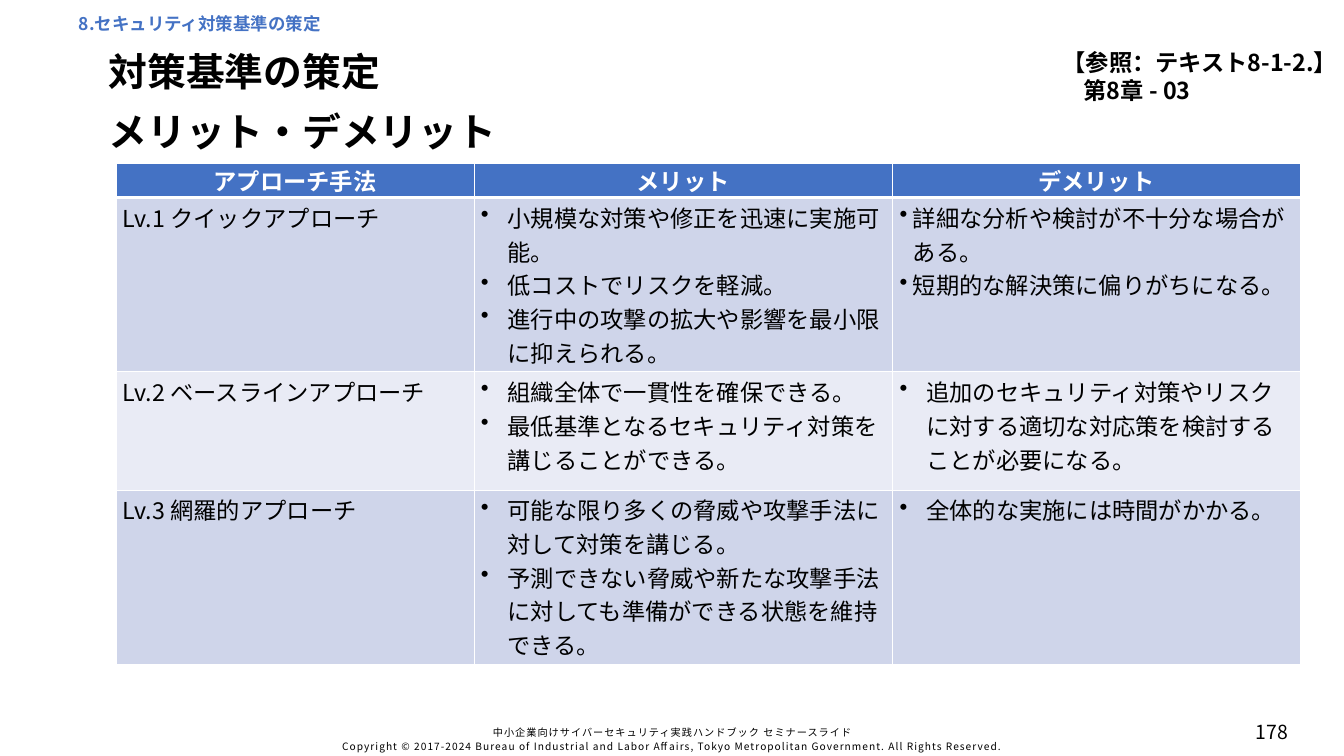
from dataclasses import dataclass

from lxml.etree import SubElement
from pptx import Presentation
from pptx.dml.color import RGBColor
from pptx.enum.text import MSO_ANCHOR, PP_ALIGN
from pptx.oxml.ns import qn
from pptx.util import Cm, Pt


@dataclass(frozen=True)
class Theme:
    """Colours, typeface and type sizes of the slide."""
    font: str = "Noto Sans CJK JP"
    ink: str = "000000"
    accent: str = "4472C4"
    paper: str = "FFFFFF"
    bands: tuple = ("CFD5EA", "E9EBF5")
    title: float = 40
    body: float = 24
    number: float = 20
    chapter: float = 18
    footer: float = 10.5


@dataclass(frozen=True)
class Box:
    """A region in centimetres."""
    left: float
    top: float
    width: float
    height: float

    def lengths(self):
        """Return the four lengths for a new shape."""
        return [Cm(n) for n in (self.left, self.top, self.width, self.height)]


THEME = Theme()
WIDE_INDENT, NARROW_INDENT = 0.97, 0.48
COLUMNS = (13.03, 15.24, 14.83)
ROWS = (1.25, 6.34, 4.3, 6.34)
HEADINGS = ("アプローチ手法", "メリット", "デメリット")
APPROACHES = (
    ("Lv.1 クイックアプローチ",
     ("小規模な対策や修正を迅速に実施可能。",
      "低コストでリスクを軽減。",
      "進行中の攻撃の拡大や影響を最小限に抑えられる。"),
     ("詳細な分析や検討が不十分な場合がある。",
      "短期的な解決策に偏りがちになる。"),
     NARROW_INDENT),
    ("Lv.2 ベースラインアプローチ",
     ("組織全体で一貫性を確保できる。",
      "最低基準となるセキュリティ対策を講じることができる。"),
     ("追加のセキュリティ対策やリスクに対する適切な対応策を検討することが必要になる。",),
     WIDE_INDENT),
    ("Lv.3 網羅的アプローチ",
     ("可能な限り多くの脅威や攻撃手法に対して対策を講じる。",
      "予測できない脅威や新たな攻撃手法に対しても準備ができる状態を維持できる。"),
     ("全体的な実施には時間がかかる。",),
     WIDE_INDENT),
)


def style(paragraph, size, color=THEME.ink, bold=False, align=PP_ALIGN.LEFT, tracking=0):
    """Set the alignment and font of a paragraph."""
    paragraph.alignment = align
    font = paragraph.font
    font.name, font.size, font.bold = THEME.font, Pt(size), bold
    font.color.rgb = RGBColor.from_string(color)
    properties = paragraph._p.pPr.find(qn("a:defRPr"))
    if tracking:
        properties.set("spc", str(round(tracking * 100)))
    east_asian = SubElement(properties, qn("a:ea"))
    east_asian.set("typeface", THEME.font)


def add_bullet(paragraph, indent):
    """Give a paragraph a hanging bullet."""
    properties = paragraph._p.get_or_add_pPr()
    properties.set("marL", str(Cm(indent)))
    properties.set("indent", str(-Cm(indent)))
    SubElement(properties, qn("a:buChar")).set("char", "•")


def fill_lines(frame, lines):
    """Write the lines into a text frame and return their paragraphs."""
    frame.word_wrap = True
    frame.text = "\n".join(lines)
    return frame.paragraphs


def add_text(slide, box, lines, anchor=MSO_ANCHOR.MIDDLE):
    """Add a wrapping text box and return its frame."""
    frame = slide.shapes.add_textbox(*box.lengths()).text_frame
    frame.vertical_anchor = anchor
    fill_lines(frame, lines)
    return frame


def add_chapter(slide, box):
    """Add the chapter line at the top."""
    frame = add_text(slide, box, ["8.セキュリティ対策基準の策定"], MSO_ANCHOR.TOP)
    frame.margin_left = frame.margin_right = frame.margin_top = frame.margin_bottom = 0
    frame.paragraphs[0].line_spacing = Pt(15)
    style(frame.paragraphs[0], THEME.chapter, THEME.accent, True)


def add_titles(slide, box):
    """Add the title and the subtitle, one in each half of the box."""
    half = box.height / 2
    for index, title in enumerate(("対策基準の策定", "メリット・デメリット")):
        place = Box(box.left, box.top + index * half, box.width, half)
        paragraph = add_text(slide, place, [title]).paragraphs[0]
        paragraph.line_spacing = 0.9
        style(paragraph, THEME.title, bold=True)


def add_reference(slide, box):
    """Add the textbook reference at the top right."""
    lines = ["【参照：テキスト8-1-2.】", "第8章 - 03"]
    frame = add_text(slide, box, lines, MSO_ANCHOR.TOP)
    for paragraph, align in zip(frame.paragraphs, (PP_ALIGN.RIGHT, PP_ALIGN.CENTER)):
        style(paragraph, THEME.body, bold=True, align=align)


def paint_cell(cell, color, bottom_line=1):
    """Set the margins, white borders and fill of a cell."""
    cell.margin_top, cell.margin_bottom = Cm(0.1), 0
    properties = cell._tc.get_or_add_tcPr()
    for side, width in (("L", 1), ("R", 1), ("T", 1), ("B", bottom_line)):
        line = SubElement(properties, qn(f"a:ln{side}"), w=str(Pt(width)))
        SubElement(SubElement(line, qn("a:solidFill")), qn("a:srgbClr"), val=THEME.paper)
    cell.fill.solid()
    cell.fill.fore_color.rgb = RGBColor.from_string(color)


def add_comparison(slide, box):
    """Add the table of approaches with their merits and demerits."""
    table = slide.shapes.add_table(len(ROWS), len(COLUMNS), *box.lengths()).table
    table.first_row = table.horz_banding = False
    for column, width in zip(table.columns, COLUMNS):
        column.width = Cm(width)
    for row, height in zip(table.rows, ROWS):
        row.height = Cm(height)

    for column, heading in enumerate(HEADINGS):
        cell = table.cell(0, column)
        paint_cell(cell, THEME.accent, 3)
        cell.margin_top = 0
        paragraph = fill_lines(cell.text_frame, [heading])[0]
        style(paragraph, THEME.body, THEME.paper, True, PP_ALIGN.CENTER)

    for row, (approach, merits, demerits, indent) in enumerate(APPROACHES, 1):
        parts = (((approach,), 0), (merits, WIDE_INDENT), (demerits, indent))
        for column, (lines, hanging) in enumerate(parts):
            cell = table.cell(row, column)
            paint_cell(cell, THEME.bands[(row - 1) % 2])
            for paragraph in fill_lines(cell.text_frame, lines):
                if hanging:
                    add_bullet(paragraph, hanging)
                style(paragraph, THEME.body)


def add_footer(slide, box):
    """Add the handbook name and the copyright line."""
    lines = [
        "中小企業向けサイバーセキュリティ実践ハンドブック セミナースライド",
        "Copyright © 2017-2024 Bureau of Industrial and Labor Affairs, "
        "Tokyo Metropolitan Government. All Rights Reserved.",
    ]
    for paragraph in add_text(slide, box, lines).paragraphs:
        paragraph.line_spacing = 1.1
        style(paragraph, THEME.footer, align=PP_ALIGN.CENTER, tracking=1.1)


def add_number(slide, box):
    """Add the slide number."""
    paragraph = add_text(slide, box, ["178"]).paragraphs[0]
    style(paragraph, THEME.number, align=PP_ALIGN.CENTER)


def main():
    """Build the slide and save it."""
    deck = Presentation()
    deck.slide_width, deck.slide_height = Cm(48.92), Cm(27.51)
    slide = deck.slides.add_slide(deck.slide_layouts[6])
    add_footer(slide, Box(9.5, 26.24, 29.95, 1.3))
    add_titles(slide, Box(3.71, 1.62, 41.5, 4.32))
    add_number(slide, Box(44.15, 26.14, 4.29, 0.97))
    add_chapter(slide, Box(2.87, 0.71, 44.4, 0.64))
    add_comparison(slide, Box(4.22, 5.94, sum(COLUMNS), sum(ROWS)))
    add_reference(slide, Box(33.86, 1.63, 15.06, 2.31))
    deck.save("out.pptx")


if __name__ == "__main__":
    main()
